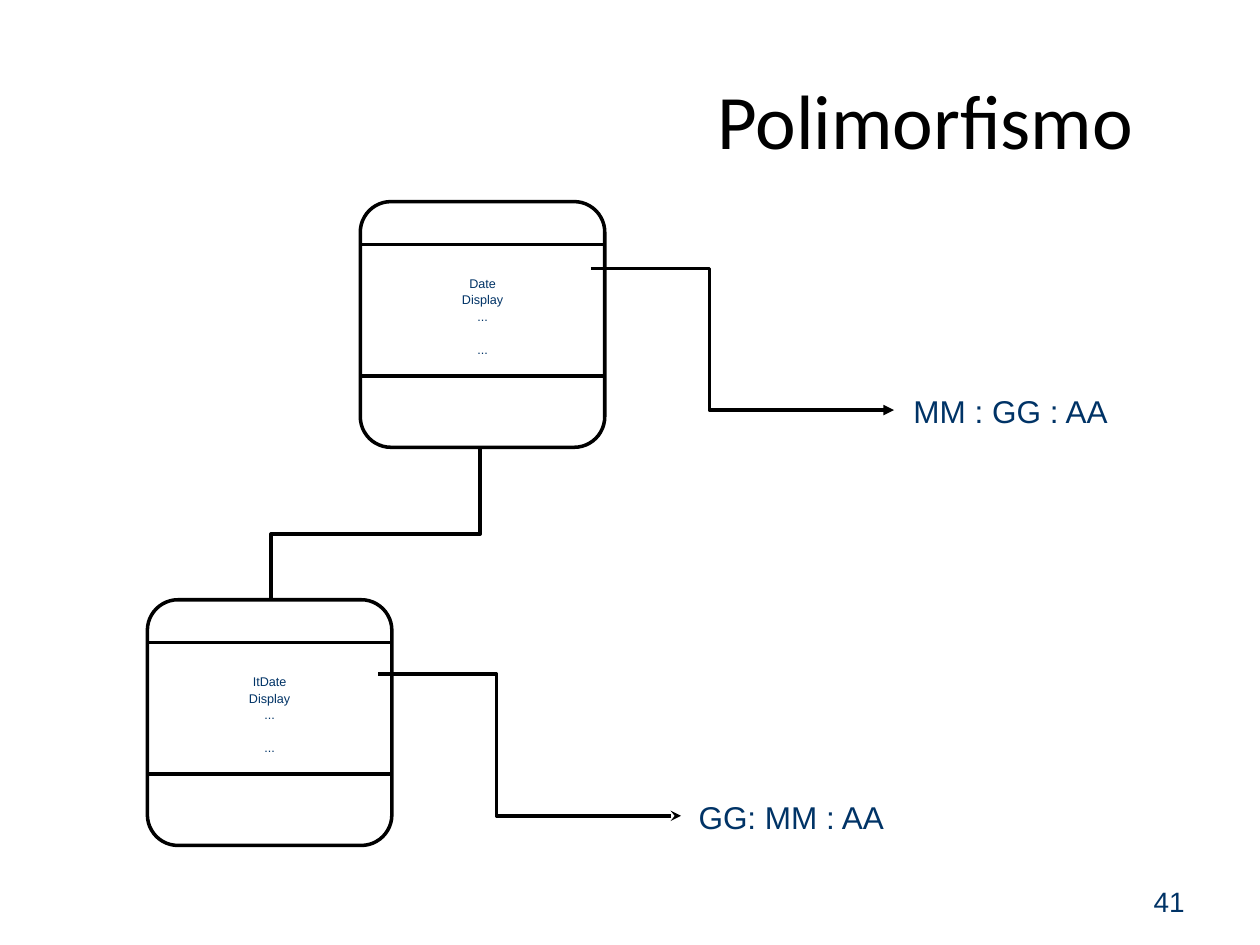
from pptx import Presentation
from pptx.dml.color import RGBColor
from pptx.enum.shapes import MSO_CONNECTOR, MSO_SHAPE
from pptx.enum.text import MSO_ANCHOR, PP_ALIGN
from pptx.oxml.ns import qn
from pptx.util import Inches, Pt
from lxml.etree import SubElement

INK, NAVY = "000000", "003366"
CLASS_WIDTH, CLASS_HEIGHT = 19.4, 19.5


def grid(count):
    return Inches(count / 10)


def place(box):
    return [grid(length) for length in box]


def colour(hex_string):
    return RGBColor.from_string(hex_string)


def ink_line(outline):
    outline.color.rgb = colour(INK)
    outline.width = Pt(2)


def write(frame, text, size, font="Arial", ink=NAVY, align=PP_ALIGN.CENTER,
          spacing=1.0, gaps=()):
    frame.word_wrap = True
    frame.vertical_anchor = MSO_ANCHOR.MIDDLE
    for index, words in enumerate(text.split("\n")):
        paragraph = frame.paragraphs[0] if index == 0 else frame.add_paragraph()
        paragraph.alignment = align
        paragraph.line_spacing = spacing
        paragraph.space_before = Pt(gaps[index] if gaps else 0)
        run = paragraph.add_run()
        run.text = words
        run.font.size = Pt(size)
        run.font.name = font
        run.font.color.rgb = colour(ink)


def add_label(slide, box, text, size, **style):
    label = slide.shapes.add_textbox(*place(box))
    write(label.text_frame, text, size, **style)


def add_title(slide, box, text):
    title = slide.shapes.title
    title.left, title.top, title.width, title.height = place(box)
    write(title.text_frame, text, 44, font="Calibri", ink=INK)


def add_route(slide, points, head=None):
    corners = [place(point) for point in points]
    builder = slide.shapes.build_freeform(*corners[0])
    builder.add_line_segments(corners[1:], close=False)
    route = builder.convert_to_shape()
    route.shadow.inherit = False
    route.fill.background()
    ink_line(route.line)
    if head:
        outline = route.element.spPr.find(qn("a:ln"))
        SubElement(outline, qn("a:tailEnd"), type=head)


def add_class(slide, left, top, members):
    body = slide.shapes.add_shape(
        MSO_SHAPE.ROUNDED_RECTANGLE, *place((left, top, CLASS_WIDTH, CLASS_HEIGHT)))
    body.adjustments[0] = 0.125
    body.shadow.inherit = False
    body.fill.background()
    ink_line(body.line)
    for offset in (3.4, 13.85):
        divider = slide.shapes.add_connector(
            MSO_CONNECTOR.STRAIGHT,
            *place((left, top + offset, left + CLASS_WIDTH, top + offset)))
        ink_line(divider.line)
        SubElement(divider.element.spPr, qn("a:effectLst"))
    add_label(slide, (left - 0.2, top + 5.5, CLASS_WIDTH + 0.4, 7.5), members, 7.2,
              spacing=0.7, gaps=(0, 3.4, 3.4, 12.6))


def add_output(slide, left, top, text, head, label_shift):
    turn, end, bottom = left + 9.4, left + 24.05, top + 11.25
    add_route(slide, [(left, top), (turn, top), (turn, bottom), (end, bottom)], head)
    add_label(slide, (end - label_shift, bottom - 3.5, 19.9, 7.5), text, 18,
              spacing=0.9)


def main():
    presentation = Presentation()
    presentation.slide_width, presentation.slide_height = grid(100), grid(75)
    slide = presentation.slides.add_slide(presentation.slide_layouts[5])
    add_title(slide, (46.9, 5.2, 53.1, 8.5), "Polimorfismo")
    add_class(slide, 28.6, 16, "Date\nDisplay\n...\n...")
    add_class(slide, 11.7, 47.6, "ItDate\nDisplay\n...\n...")
    add_route(slide, [(21.5, 47.5), (21.5, 42.4), (38.1, 42.4), (38.1, 35.6)])
    add_output(slide, 46.9, 21.3, "MM : GG : AA", "triangle", 0.7)
    add_output(slide, 30, 53.5, "GG: MM : AA", "stealth", 1.2)
    add_label(slide, (71.7, 69.5, 23.3, 4), "41", 16, align=PP_ALIGN.RIGHT)
    presentation.save("out.pptx")


if __name__ == "__main__":
    main()
